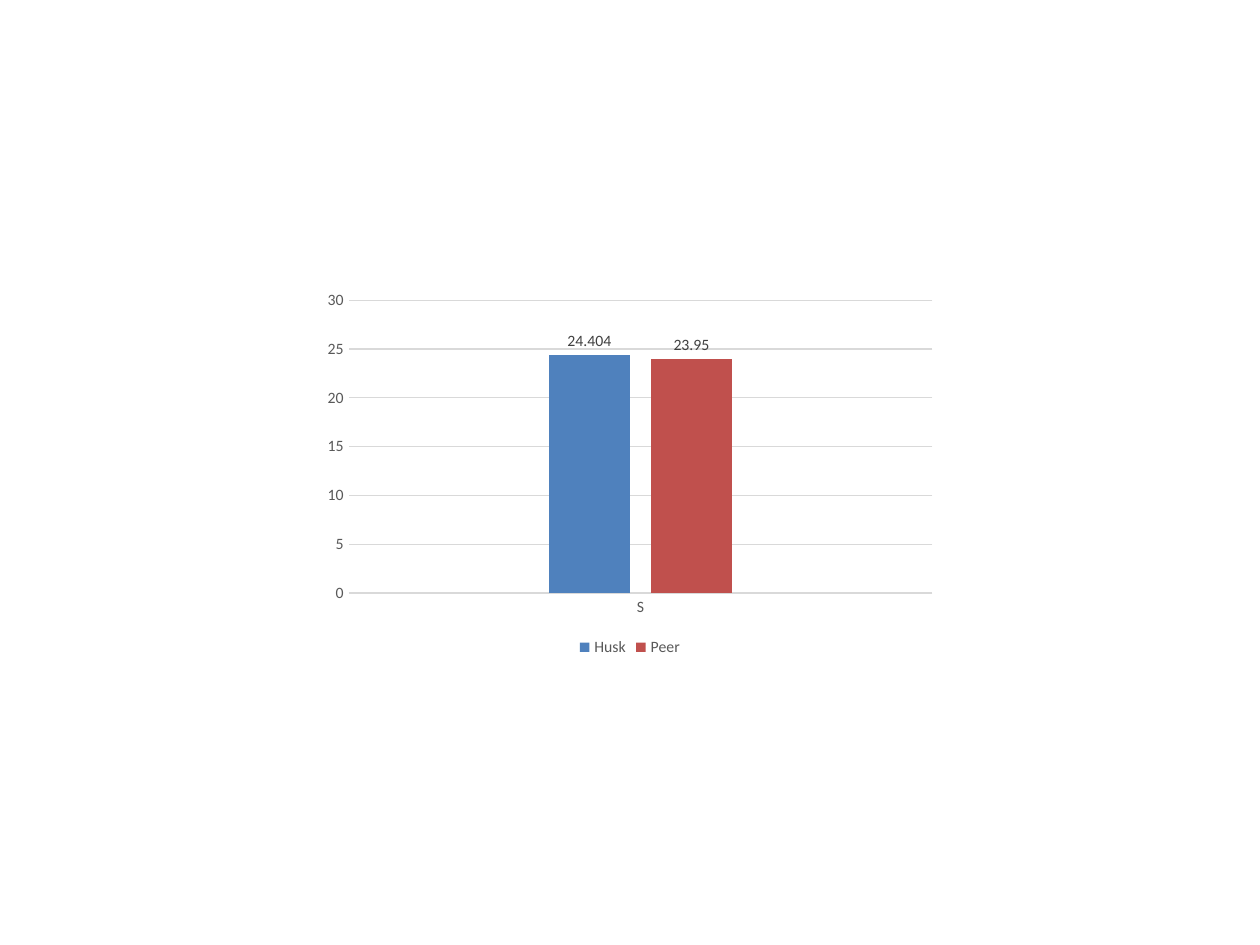
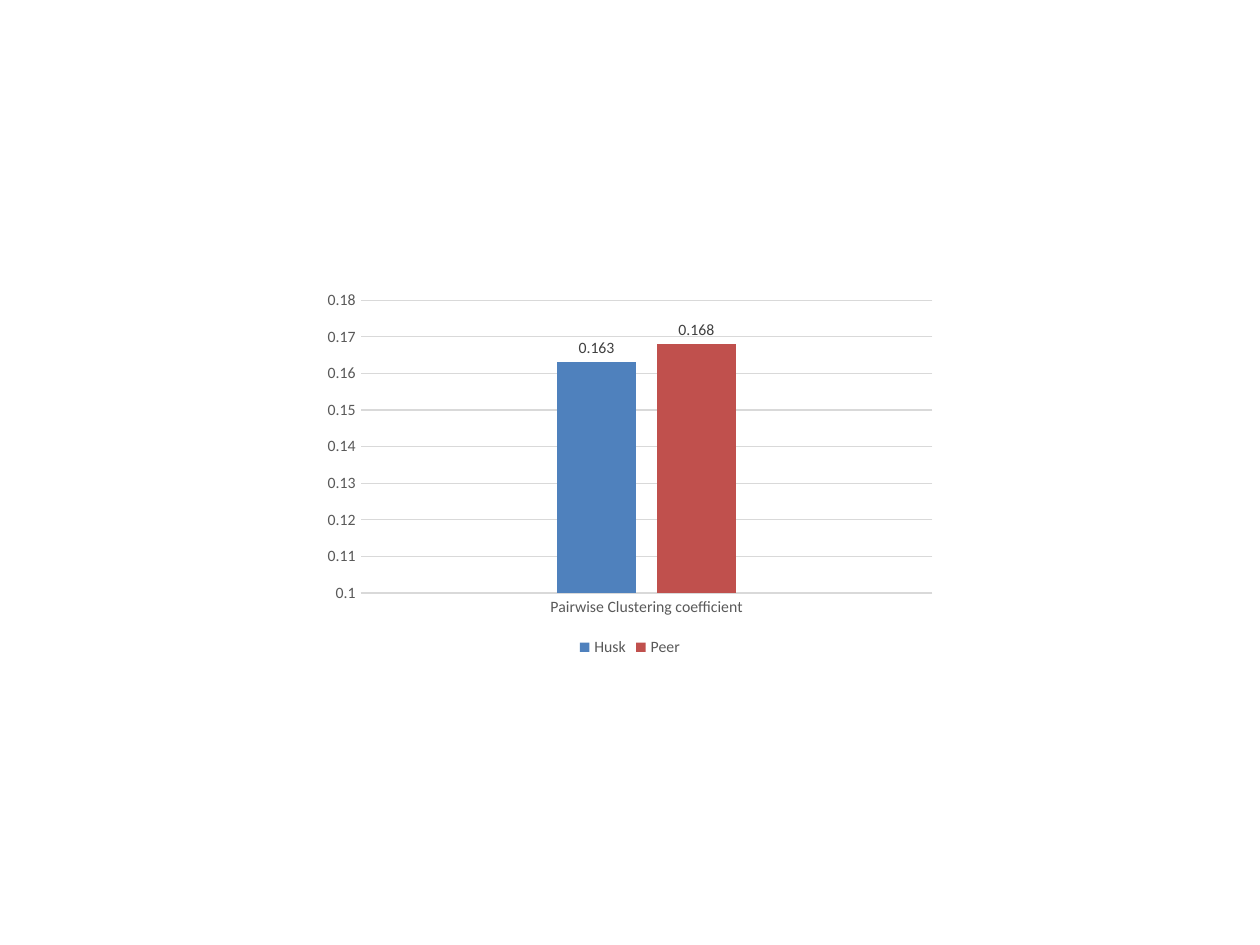
from pptx import Presentation
from pptx.chart.data import CategoryChartData
from pptx.dml.color import RGBColor
from pptx.enum.chart import (XL_CHART_TYPE as ChartType, XL_LABEL_POSITION as LabelPos,
                             XL_LEGEND_POSITION as LegendPos, XL_TICK_MARK as TickMark)
from pptx.util import Pt

# Shared style
COLORS = {"Husk": "4F81BD", "Peer": "C0504D", "text": "595959",
          "label": "404040", "grid": "D9D9D9", "base": "000000"}
FONT = "Calibri"
CHART_BOX = [Pt(v) for v in (180, 162, 360, 216)]

# One slide each: category, axis minimum, maximum and step, values
CHARTS = [
    ("S", 0, 30, 5, {"Husk": 24.404, "Peer": 23.95}),
    ("Pairwise Clustering coefficient", 0.1, 0.18, 0.01, {"Husk": 0.163, "Peer": 0.168}),
]


def color(name):
    return RGBColor.from_string(COLORS[name])


def set_attrs(obj, values):
    for name, value in values.items():
        setattr(obj, name, value)


def set_font(font, name, size=9):
    set_attrs(font, {"name": FONT, "size": Pt(size), "bold": False})
    font.color.rgb = color(name)


def set_line(line):
    line.width = Pt(0.75)
    line.color.rgb = color("grid")


def style_axes(chart, low, high, step):
    cat, val = chart.category_axis, chart.value_axis
    for axis in (cat, val):
        set_attrs(axis, {"major_tick_mark": TickMark.NONE, "minor_tick_mark": TickMark.NONE})
        set_font(axis.tick_labels.font, "text")
    set_line(cat.format.line)
    set_attrs(val, {"minimum_scale": low, "maximum_scale": high, "major_unit": step,
                    "has_major_gridlines": True})
    val.format.line.fill.background()
    set_line(val.major_gridlines.format.line)


def style_series(series):
    fill = series.format.fill
    fill.solid()
    fill.fore_color.rgb = color(series.name)
    series.invert_if_negative = False
    labels = series.data_labels
    set_attrs(labels, {"show_value": True, "position": LabelPos.OUTSIDE_END})
    set_font(labels.font, "label")


def add_column_chart(s, category, low, high, step, values):
    data = CategoryChartData()
    data.categories = [category]
    for name, value in values.items():
        data.add_series(name, [value])
    chart = s.shapes.add_chart(ChartType.COLUMN_CLUSTERED, *CHART_BOX, data).chart
    set_attrs(chart, {"has_title": False, "has_legend": True})
    set_font(chart.font, "base", 10)

    # Legend
    set_attrs(chart.legend, {"position": LegendPos.BOTTOM, "include_in_layout": False})
    set_font(chart.legend.font, "text")

    # Axes and columns
    style_axes(chart, low, high, step)
    plot = chart.plots[0]
    set_attrs(plot, {"gap_width": 500, "overlap": -27, "vary_by_categories": False})
    for series in plot.series:
        style_series(series)


def main():
    prs = Presentation()
    set_attrs(prs, {"slide_width": Pt(720), "slide_height": Pt(540)})
    for chart in CHARTS:
        s = prs.slides.add_slide(prs.slide_layouts[6])
        add_column_chart(s, *chart)
    prs.save("out.pptx")


if __name__ == "__main__":
    main()
